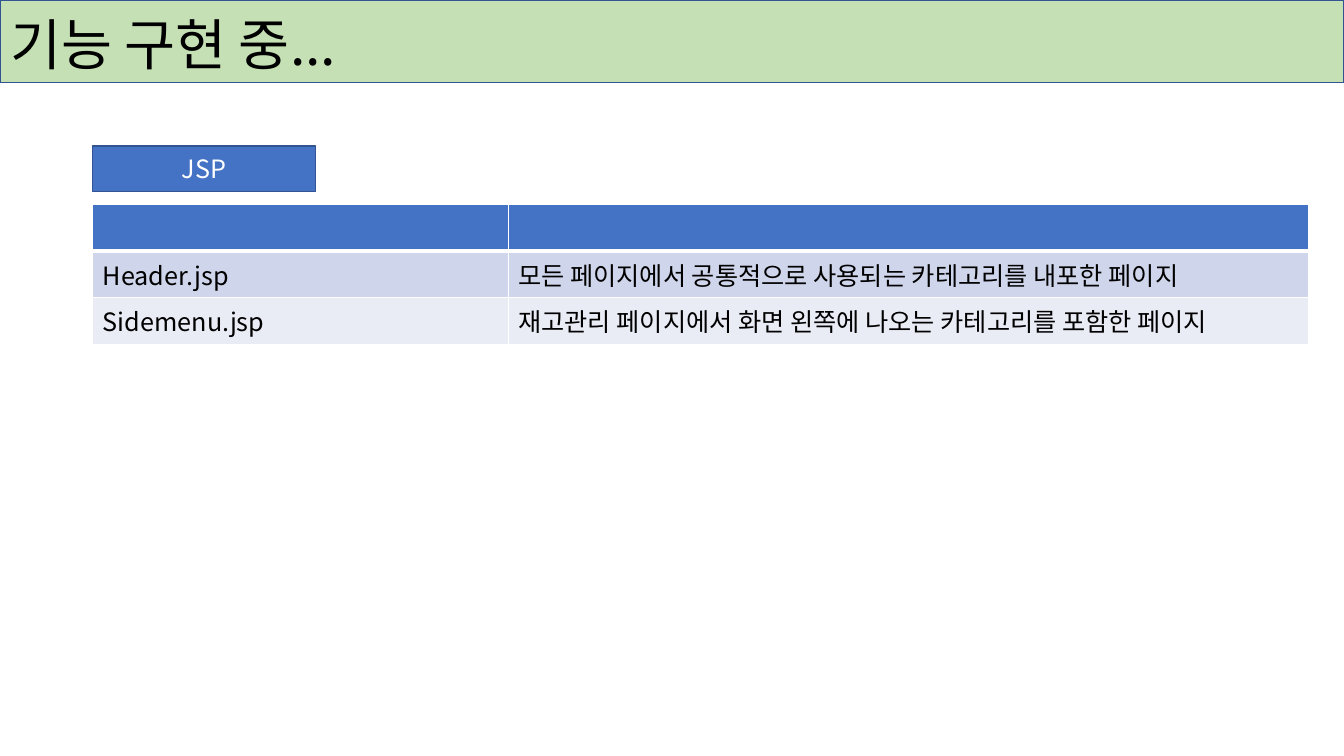
from dataclasses import dataclass

from lxml.etree import SubElement
from pptx import Presentation
from pptx.dml.color import RGBColor
from pptx.enum.shapes import MSO_SHAPE as Shape
from pptx.enum.text import MSO_ANCHOR as Anchor, MSO_AUTO_SIZE as AutoSize, PP_ALIGN as Align
from pptx.oxml.ns import qn
from pptx.util import Inches, Pt


@dataclass(frozen=True)
class Theme:
    font: str = "Noto Sans CJK KR"
    title_size: float = 39.6
    body_size: float = 18
    banner: str = "C5E0B4"
    accent: str = "4472C4"
    outline: str = "325491"
    white: str = "FFFFFF"
    black: str = "000000"
    bands: tuple = ("CFD5EA", "E9EBF5")


THEME = Theme()
ROWS = [
    ("", ""),
    ("Header.jsp", "모든 페이지에서 공통적으로 사용되는 카테고리를 내포한 페이지"),
    ("Sidemenu.jsp", "재고관리 페이지에서 화면 왼쪽에 나오는 카테고리를 포함한 페이지"),
]


def rgb(color):
    return RGBColor.from_string(color)


def add_run(p, text, size, color):
    r = p.add_run()
    r.text = text
    r.font.size = Pt(size)
    r.font.name = THEME.font
    r.font.color.rgb = rgb(color)
    SubElement(r.font._element, qn("a:ea"), typeface=THEME.font)


def add_box(s, left, top, width, height, fill):
    sp = s.shapes.add_shape(Shape.RECTANGLE, Inches(left), Inches(top), Inches(width), Inches(height))
    sp.shadow.inherit = False
    sp.fill.solid()
    sp.fill.fore_color.rgb = rgb(fill)
    sp.line.color.rgb = rgb(THEME.outline)
    sp.line.width = Pt(1)
    return sp


def add_title(s, text):
    banner = add_box(s, 0, 0, 13.33, 0.82, THEME.banner)
    title = s.shapes.title
    title._element.addprevious(banner._element)
    title.left, title.top = Inches(0), Inches(0.13)
    title.width, title.height = Inches(11.5), Inches(0.69)
    tf = title.text_frame
    tf.word_wrap = True
    tf.auto_size = AutoSize.NONE
    tf.vertical_anchor = Anchor.MIDDLE
    p = tf.paragraphs[0]
    p.alignment = Align.LEFT
    p.line_spacing = 0.9
    add_run(p, text, THEME.title_size, THEME.black)


def add_label(s, text):
    tf = add_box(s, 0.92, 1.45, 2.21, 0.45, THEME.accent).text_frame
    tf.vertical_anchor = Anchor.MIDDLE
    p = tf.paragraphs[0]
    p.alignment = Align.CENTER
    add_run(p, text, THEME.body_size, THEME.white)


def set_borders(cell, top, bottom):
    tc_pr = cell._tc.get_or_add_tcPr()
    for side, width in (("L", 1), ("R", 1), ("T", top), ("B", bottom)):
        ln = SubElement(tc_pr, qn(f"a:ln{side}"), w=str(Pt(width)))
        fill = SubElement(ln, qn("a:solidFill"))
        SubElement(fill, qn("a:srgbClr"), val=THEME.white)


def add_page_table(s, rows):
    widths, row_height = (4.12, 7.94), 0.46
    frame = s.shapes.add_table(len(rows), len(widths), Inches(0.92), Inches(2.03),
                               Inches(sum(widths)), Inches(row_height * len(rows)))
    table = frame.table
    for column, width in zip(table.columns, widths):
        column.width = Inches(width)
    fills = (THEME.accent, *THEME.bands)
    for i, texts in enumerate(rows):
        table.rows[i].height = Inches(row_height)
        for j, text in enumerate(texts):
            cell = table.cell(i, j)
            set_borders(cell, 3 if i == 1 else 1, 3 if i == 0 else 1)
            cell.fill.solid()
            cell.fill.fore_color.rgb = rgb(fills[i])
            if text:
                add_run(cell.text_frame.paragraphs[0], text, THEME.body_size, THEME.black)


def main():
    prs = Presentation()
    prs.slide_width, prs.slide_height = Inches(13.33), Inches(7.5)
    s = prs.slides.add_slide(prs.slide_layouts[5])
    add_title(s, "기능 구현 중...")
    add_page_table(s, ROWS)
    add_label(s, "JSP")
    prs.save("out.pptx")


if __name__ == "__main__":
    main()
